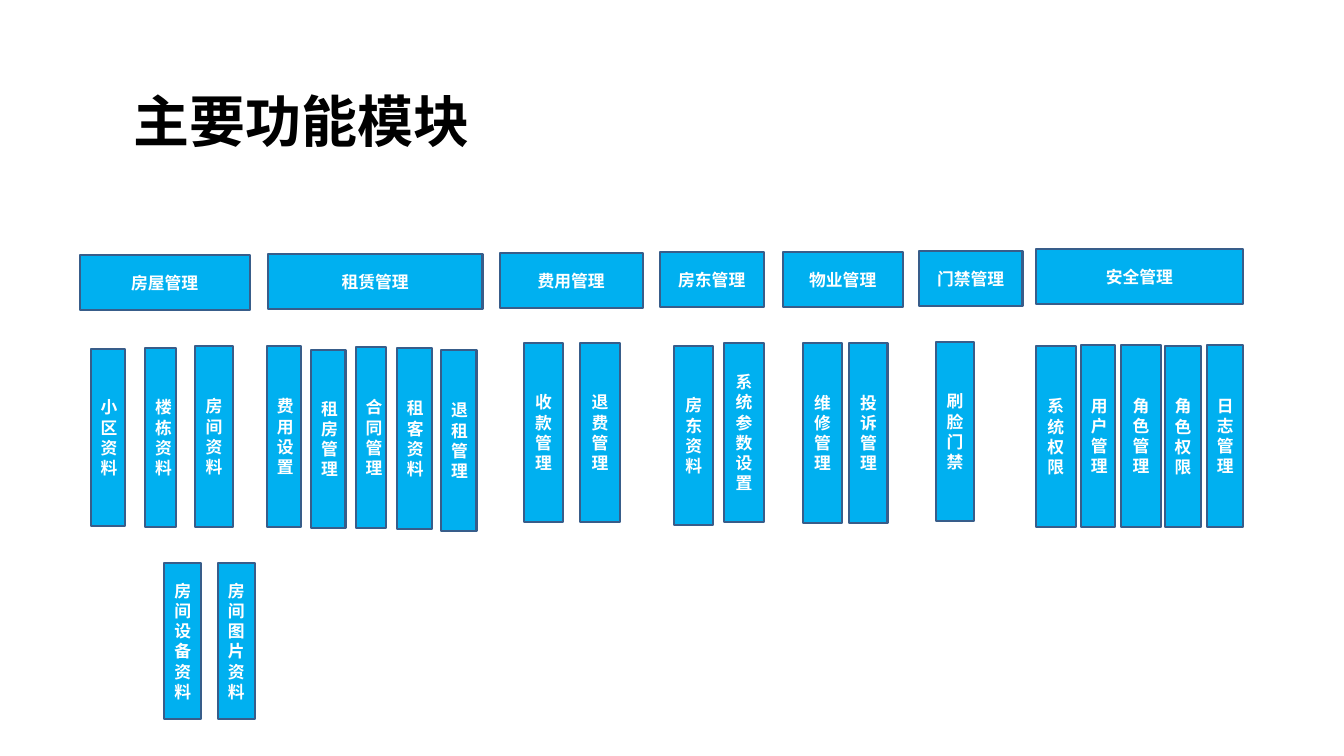
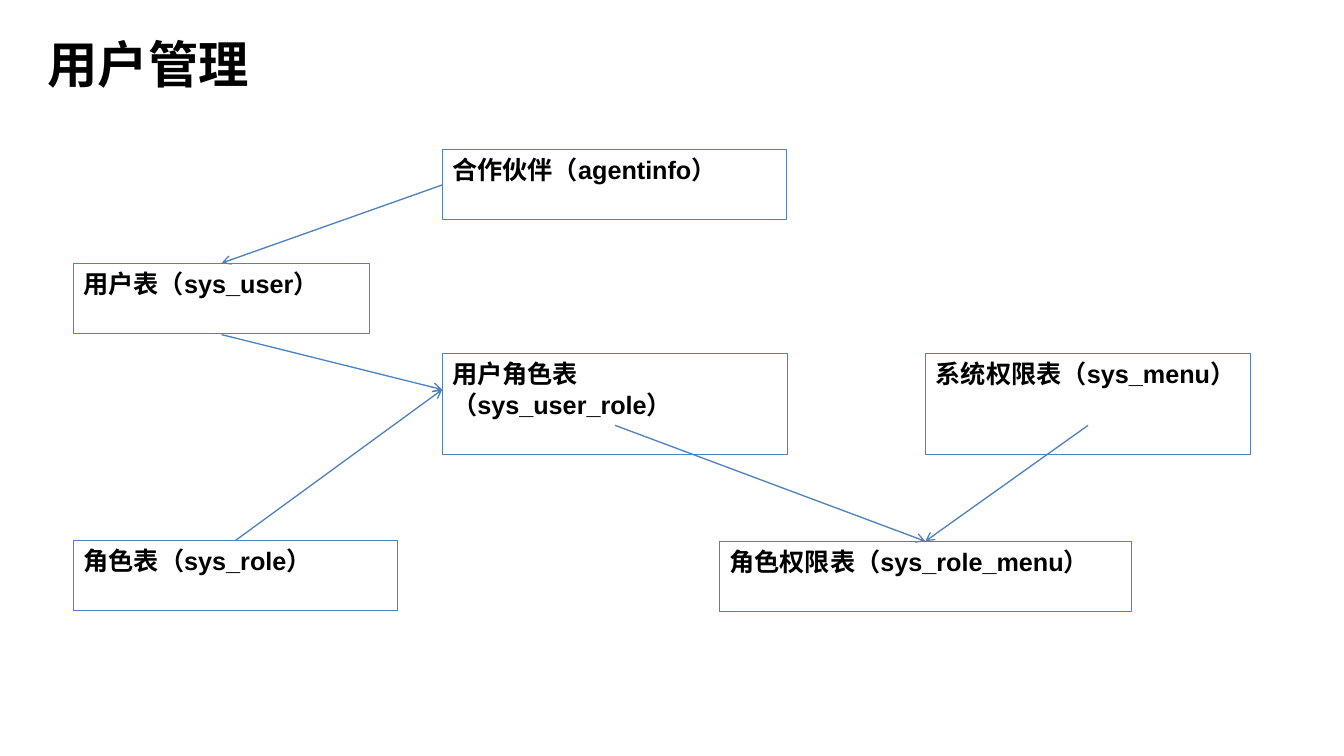
from dataclasses import dataclass

from lxml import etree
from pptx import Presentation
from pptx.dml.color import RGBColor
from pptx.enum.shapes import MSO_CONNECTOR, MSO_SHAPE
from pptx.enum.text import MSO_ANCHOR, MSO_AUTO_SIZE, PP_ALIGN
from pptx.oxml.ns import qn
from pptx.util import Pt

RECTANGLE = MSO_SHAPE.RECTANGLE
STRAIGHT = MSO_CONNECTOR.STRAIGHT
TOP, MIDDLE = MSO_ANCHOR.TOP, MSO_ANCHOR.MIDDLE
LEFT, CENTER = PP_ALIGN.LEFT, PP_ALIGN.CENTER
FIXED_SIZE = MSO_AUTO_SIZE.NONE

EMU_PER_PX = 9144  # 100 px to the inch
SLIDE_WIDTH, SLIDE_HEIGHT = 1334, 750
TITLE_ONLY = 5


@dataclass(frozen=True)
class Theme:
    font: str = "Arial"
    text: RGBColor = RGBColor(0x00, 0x00, 0x00)
    paper: RGBColor = RGBColor(0xFF, 0xFF, 0xFF)
    module_fill: RGBColor = RGBColor(0x00, 0xB0, 0xF0)
    module_line: RGBColor = RGBColor(0x38, 0x5D, 0x8A)
    table_line: RGBColor = RGBColor(0x4F, 0x81, 0xBD)
    overview_title_size: float = 40
    detail_title_size: float = 36
    module_size: float = 12
    table_size: float = 18
    module_line_width: float = 1.5
    table_line_width: float = 0.75
    arrow_width: float = 0.94


def px(length):
    return int(length * EMU_PER_PX)


class Deck:
    def __init__(self, theme):
        self.theme = theme
        self.presentation = Presentation()
        self.presentation.slide_width = px(SLIDE_WIDTH)
        self.presentation.slide_height = px(SLIDE_HEIGHT)
        self.slide = None

    def add_slide(self, title, box, size):
        layout = self.presentation.slide_layouts[TITLE_ONLY]
        self.slide = self.presentation.slides.add_slide(layout)
        shape = self.slide.shapes.title
        shape.left, shape.top, shape.width, shape.height = map(px, box)
        self.set_text(shape, title, size, self.theme.text, LEFT, TOP)

    def set_text(self, shape, text, size, color, alignment, anchor):
        frame = shape.text_frame
        frame.text = text
        frame.word_wrap = True
        frame.auto_size = FIXED_SIZE
        frame.vertical_anchor = anchor
        paragraph = frame.paragraphs[0]
        paragraph.alignment = alignment
        for run in paragraph.runs:
            run.font.name = self.theme.font
            run.font.size = Pt(size)
            run.font.bold = True
            run.font.color.rgb = color

    def rectangle(self, box, fill, line, line_width):
        shape = self.slide.shapes.add_shape(RECTANGLE, *map(px, box))
        shape.shadow.inherit = False
        shape.fill.solid()
        shape.fill.fore_color.rgb = fill
        shape.line.color.rgb = line
        shape.line.width = Pt(line_width)
        return shape

    def module(self, text, box):
        theme = self.theme
        shape = self.rectangle(box, theme.module_fill, theme.module_line,
                               theme.module_line_width)
        self.set_text(shape, text, theme.module_size, theme.paper, CENTER, MIDDLE)

    def database_table(self, text, box):
        theme = self.theme
        shape = self.rectangle(box, theme.paper, theme.table_line,
                               theme.table_line_width)
        self.set_text(shape, text, theme.table_size, theme.text, LEFT, TOP)

    def arrow(self, start, end):
        connector = self.slide.shapes.add_connector(
            STRAIGHT, *map(px, (*start, *end)))
        connector.line.color.rgb = self.theme.table_line
        connector.line.width = Pt(self.theme.arrow_width)
        properties = connector.element.spPr
        line = properties.find(qn("a:ln"))
        etree.SubElement(line, qn("a:tailEnd")).set("type", "arrow")
        etree.SubElement(properties, qn("a:effectLst"))


HEADER_HEIGHT = 55

# Header: name, left, top, width. Functions: name, left, top, width, height.
MODULES = [
    (("房屋管理", 79, 253, 169), [
        ("小区资料", 90, 346, 34, 176),
        ("楼栋资料", 144, 345, 31, 178),
        ("房间资料", 194, 343, 37, 180),
        ("房间设备资料", 163, 559, 37, 154),
        ("房间图片资料", 216, 559, 37, 154),
    ]),
    (("租赁管理", 266, 252, 213), [
        ("费用设置", 265, 343, 34, 180),
        ("租房管理", 309, 347, 34, 177),
        ("合同管理", 353, 344, 30, 180),
        ("租客资料", 394, 345, 35, 180),
        ("退租管理", 438, 347, 35, 180),
    ]),
    (("费用管理", 496, 251, 142), [
        ("收款管理", 520, 340, 39, 178),
        ("退费管理", 576, 340, 39, 178),
    ]),
    (("房东管理", 655, 250, 103), [
        ("房东资料", 669, 343, 39, 178),
        ("系统参数设置", 719, 340, 39, 178),
    ]),
    (("物业管理", 777, 250, 119), [
        ("维修管理", 797, 340, 39, 179),
        ("投诉管理", 843, 340, 38, 179),
    ]),
    (("门禁管理", 912, 249, 103), [
        ("刷脸门禁", 929, 339, 38, 178),
    ]),
    (("安全管理", 1028, 247, 206), [
        ("系统权限", 1028, 343, 40, 180),
        ("用户管理", 1073, 342, 34, 181),
        ("角色管理", 1113, 342, 39, 181),
        ("角色权限", 1156, 343, 36, 180),
        ("日志管理", 1198, 342, 36, 181),
    ]),
]

DATABASE_TABLES = {
    "agentinfo": ("合作伙伴", (439, 148, 342, 70)),
    "sys_user": ("用户表", (73, 261, 294, 70)),
    "sys_user_role": ("用户角色表", (439, 351, 343, 100)),
    "sys_menu": ("系统权限表", (919, 351, 322, 100)),
    "sys_role": ("角色表", (73, 536, 322, 70)),
    "sys_role_menu": ("角色权限表", (714, 537, 409, 70)),
}

RELATIONS = [
    ("agentinfo", "left", "sys_user", "top"),
    ("sys_user", "bottom", "sys_user_role", "left"),
    ("sys_role", "top", "sys_user_role", "left"),
    ("sys_user_role", "bottom", "sys_role_menu", "top"),
    ("sys_menu", "bottom", "sys_role_menu", "top"),
]

SITE_HEIGHT = 71


def site(table, side):
    """Point where an arrow meets a table, all tables counted as one-line high."""
    left, top, width, _ = DATABASE_TABLES[table][1]
    return {
        "left": (left, top + SITE_HEIGHT / 2),
        "top": (left + width / 2, top),
        "bottom": (left + width / 2, top + SITE_HEIGHT),
    }[side]


def add_modules_slide(deck):
    deck.add_slide("主要功能模块", (123, 81, 607, 77),
                   deck.theme.overview_title_size)
    for (name, *position), functions in MODULES:
        deck.module(name, (*position, HEADER_HEIGHT))
        for function_name, *box in functions:
            deck.module(function_name, box)


def add_user_management_slide(deck):
    deck.add_slide("用户管理", (37, 28, 1284, 70),
                   deck.theme.detail_title_size)
    for table, (label, box) in DATABASE_TABLES.items():
        deck.database_table(f"{label}（{table}）", box)
    for source, source_side, target, target_side in RELATIONS:
        deck.arrow(site(source, source_side), site(target, target_side))


def main():
    deck = Deck(Theme())
    add_modules_slide(deck)
    add_user_management_slide(deck)
    deck.presentation.save("out.pptx")


if __name__ == "__main__":
    main()
